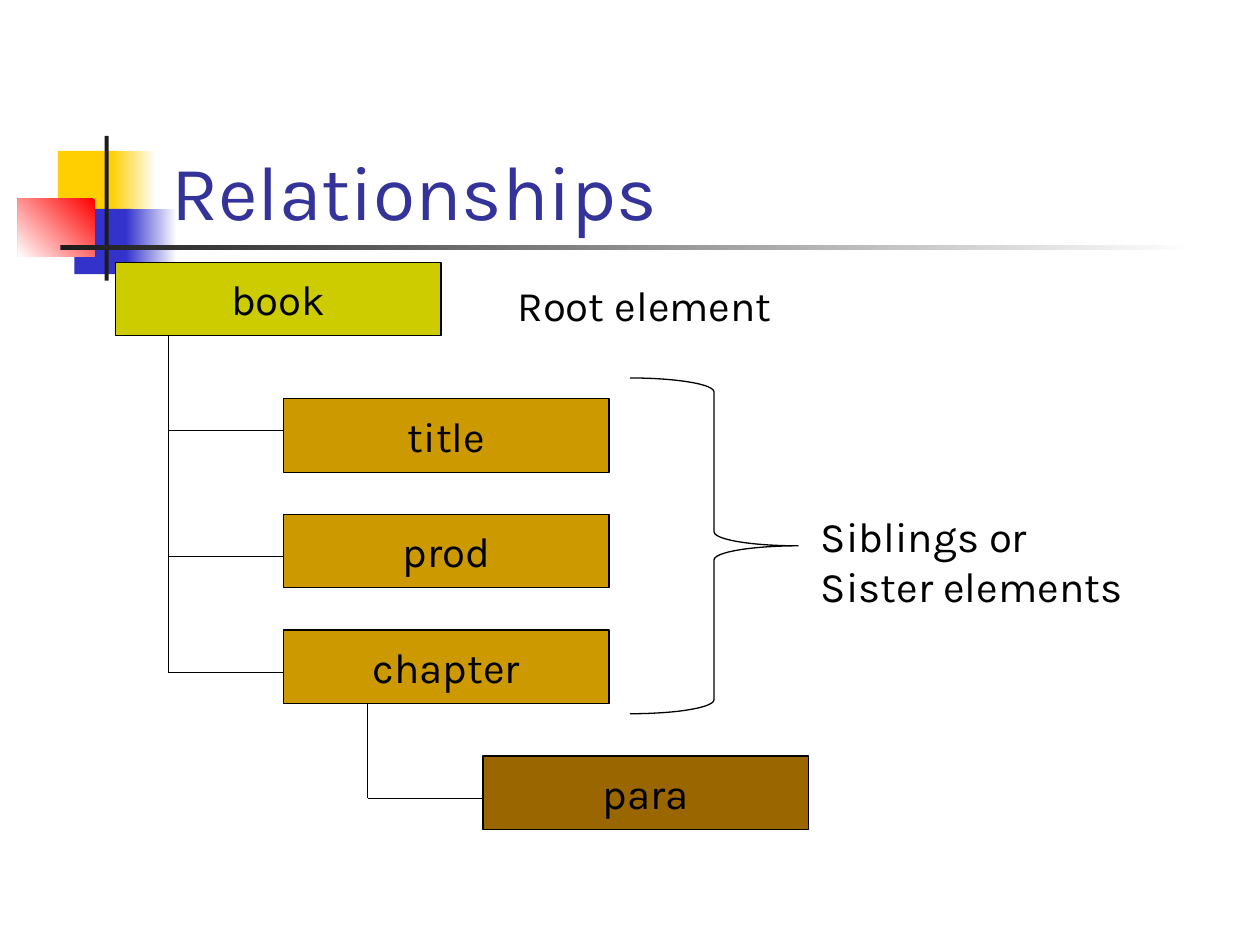
from lxml.etree import SubElement
from pptx import Presentation
from pptx.dml.color import RGBColor
from pptx.enum.shapes import MSO_CONNECTOR, MSO_SHAPE
from pptx.enum.text import MSO_ANCHOR, PP_ALIGN
from pptx.oxml.ns import qn
from pptx.util import Cm, Pt

FONT = "Karla"
WHITE = RGBColor(0xFF, 0xFF, 0xFF)
BLACK = RGBColor(0x00, 0x00, 0x00)
CHARCOAL = RGBColor(0x1C, 0x1C, 0x1C)
YELLOW = RGBColor(0xFF, 0xCF, 0x01)
BLUE = RGBColor(0x33, 0x33, 0xCC)
RED = RGBColor(0xFF, 0x00, 0x00)
TITLE_BLUE = RGBColor(0x33, 0x33, 0x99)
ROOT_COLOR = RGBColor(0xCC, 0xCC, 0x00)
SIBLING_COLOR = RGBColor(0xCC, 0x99, 0x00)
CHILD_COLOR = RGBColor(0x99, 0x66, 0x00)

NODE_WIDTH, NODE_HEIGHT = 6.56, 1.48
LINE_WIDTH = Pt(0.75)


def write_text(shape, text, size=24, color=BLACK, align=PP_ALIGN.LEFT,
               anchor=MSO_ANCHOR.TOP, wrap=False):
    frame = shape.text_frame
    frame.text = text
    frame.word_wrap = wrap
    frame.vertical_anchor = anchor
    for paragraph in frame.paragraphs:
        paragraph.alignment = align
        paragraph.font.name = FONT
        paragraph.font.size = Pt(size)
        paragraph.font.color.rgb = color


def add_label(slide, box, text, **text_format):
    label = slide.shapes.add_textbox(*map(Cm, box))
    write_text(label, text, **text_format)


def add_block(slide, box, color, fade_angle=None):
    block = slide.shapes.add_shape(MSO_SHAPE.RECTANGLE, *map(Cm, box))
    block.shadow.inherit = False
    block.line.fill.background()
    if fade_angle is None:
        block.fill.solid()
        block.fill.fore_color.rgb = color
    else:
        block.fill.gradient()
        block.fill.gradient_angle = fade_angle
        for stop, stop_color in zip(block.fill.gradient_stops, (color, WHITE)):
            stop.color.rgb = stop_color


def add_node(slide, left, top, text, color):
    node = slide.shapes.add_shape(
        MSO_SHAPE.RECTANGLE, Cm(left), Cm(top), Cm(NODE_WIDTH), Cm(NODE_HEIGHT))
    node.shadow.inherit = False
    node.fill.solid()
    node.fill.fore_color.rgb = color
    node.line.color.rgb = BLACK
    node.line.width = LINE_WIDTH
    write_text(node, text, align=PP_ALIGN.CENTER, anchor=MSO_ANCHOR.MIDDLE)


def add_line(slide, *ends):
    line = slide.shapes.add_connector(MSO_CONNECTOR.STRAIGHT, *map(Cm, ends))
    line.line.color.rgb = BLACK
    line.line.width = LINE_WIDTH
    SubElement(line._element.spPr, qn("a:effectLst"))


def add_brace(slide, box):
    brace = slide.shapes.add_shape(MSO_SHAPE.RIGHT_BRACE, *map(Cm, box))
    brace.shadow.inherit = False
    brace.fill.background()
    brace.line.color.rgb = BLACK
    brace.line.width = LINE_WIDTH


def add_ornament(slide, left, top):
    blocks = (
        (0.81, 0.3, 1.22, 1.32, YELLOW, None),
        (1.88, 0.3, 0.91, 1.32, YELLOW, 0),
        (1.14, 1.47, 1.17, 1.32, BLUE, None),
        (2.18, 1.47, 1.02, 1.32, BLUE, 0),
        (0, 1.27, 1.55, 1.17, RED, 225),
        (1.75, 0, 0.08, 2.92, CHARCOAL, None),
        (0.86, 2.2, 22.86, 0.1, CHARCOAL, 0),
    )
    for x, y, width, height, color, fade_angle in blocks:
        add_block(slide, (left + x, top + y, width, height), color, fade_angle)


def add_tree(slide, left, top):
    sibling_left, child_left = left + 3.39, left + 7.41
    sibling_top, sibling_pitch = top + 2.75, 2.33
    spine, child_stem = left + 1.06, left + 5.08
    spine_end, child_middle = top + 8.26, top + 10.8

    add_node(slide, left, top, "book", ROOT_COLOR)
    for index, name in enumerate(("title", "prod", "chapter")):
        add_node(slide, sibling_left, sibling_top + index * sibling_pitch,
                 name, SIBLING_COLOR)
    add_node(slide, child_left, top + 9.95, "para", CHILD_COLOR)

    add_line(slide, spine, top + NODE_HEIGHT, spine, spine_end)
    for branch in (top + 3.39, top + 5.93, spine_end):
        add_line(slide, spine, branch, sibling_left, branch)
    chapter_bottom = sibling_top + 2 * sibling_pitch + NODE_HEIGHT
    add_line(slide, child_stem, chapter_bottom, child_stem, child_middle)
    add_line(slide, child_stem, child_middle, child_left, child_middle)


def add_notes_beside_tree(slide, left, top):
    add_label(slide, (left + 7.85, top + 0.23, 5.84, 1.27), "Root element")
    add_brace(slide, (left + 10.37, top + 2.33, 3.39, 6.77))
    add_label(slide, (left + 13.97, top + 4.87, 6.63, 2.29),
              "Siblings or\nSister elements")


def main():
    presentation = Presentation()
    presentation.slide_width = Cm(25.4)
    presentation.slide_height = Cm(19.05)
    slide = presentation.slides.add_slide(presentation.slide_layouts[6])
    add_ornament(slide, 0.36, 2.74)
    add_label(slide, (3.2, 1.7, 10.77, 3.18), "Relationships", size=44,
              color=TITLE_BLUE, anchor=MSO_ANCHOR.BOTTOM, wrap=True)
    add_tree(slide, 2.33, 5.29)
    add_notes_beside_tree(slide, 2.33, 5.29)
    presentation.save("out.pptx")


if __name__ == "__main__":
    main()
